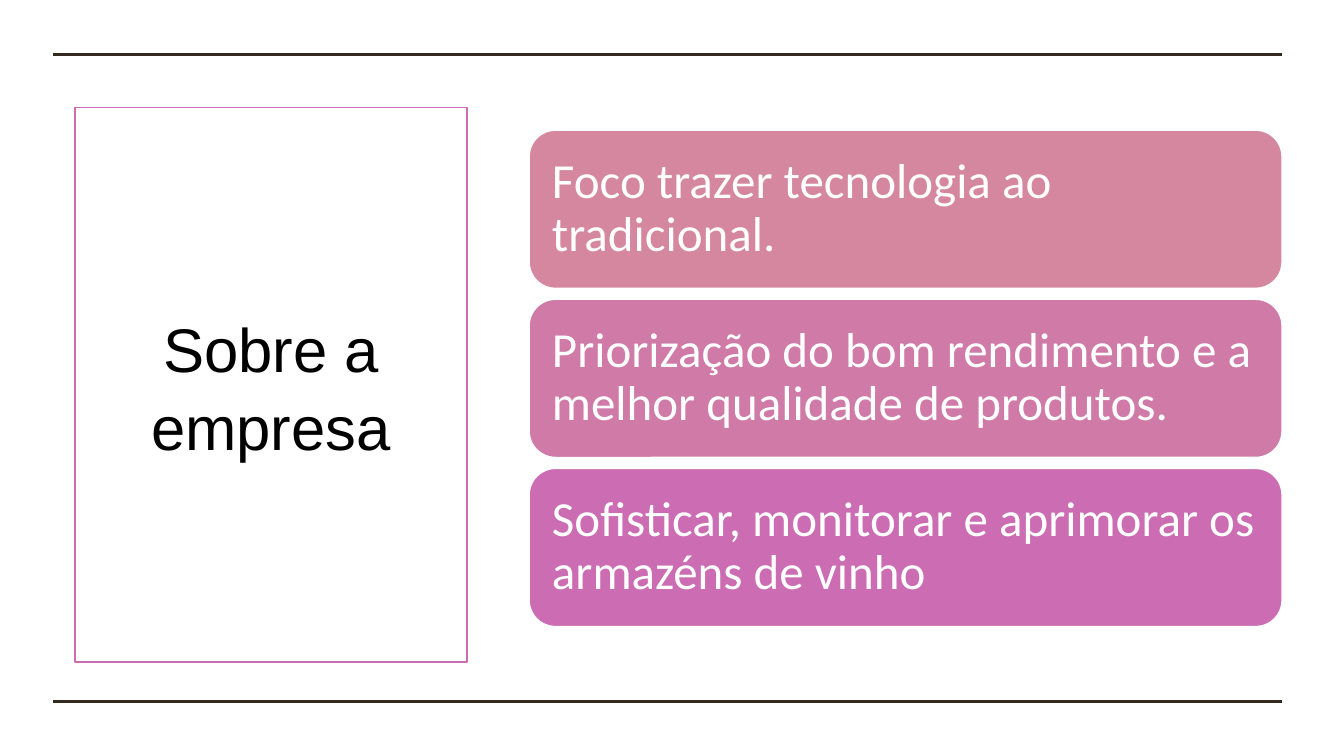
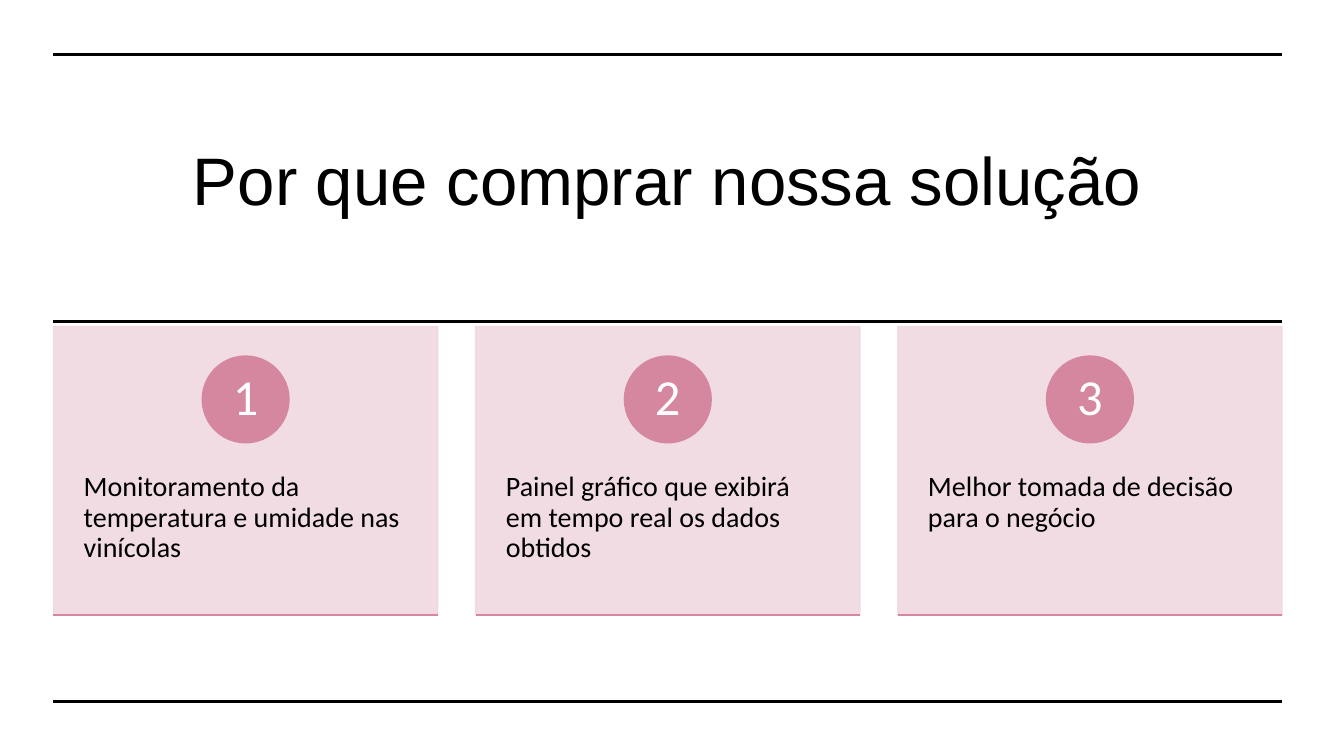
import pptx
import pptx.dml.color
import pptx.enum.shapes
import pptx.enum.text
import pptx.oxml
import pptx.oxml.ns
import pptx.util

Pt = pptx.util.Pt
SHAPE = pptx.enum.shapes.MSO_SHAPE
ALIGN = pptx.enum.text.PP_ALIGN
ANCHOR = pptx.enum.text.MSO_ANCHOR
NS = pptx.oxml.ns.nsdecls("a")

HEX = {
    "white": "FFFFFF", "black": "000000", "brown": "332A1D",
    "rose": "D587A0", "mauve": "D07AA8", "orchid": "CC6CB3", "blush": "EFD9DF",
}

ABOUT = "Sobre a empresa"
GOALS = [
    ("Foco trazer tecnologia ao tradicional.", "rose"),
    ("Priorização do bom rendimento e a melhor qualidade de produtos.", "mauve"),
    ("Sofisticar, monitorar e aprimorar os armazéns de vinho", "orchid"),
]
WHY = "Por que comprar nossa solução"
GAINS = [
    "Monitoramento da temperatura e umidade nas vinícolas",
    "Painel gráfico que exibirá em tempo real os dados obtidos",
    "Melhor tomada de decisão para o negócio",
]

WIDE, HIGH = 960, 540
LEFT, RIGHT = 38.2, 915.8
TOP, FOOT = 38.9, 501.1

STYLES = {
    "title": {"font": "Arial", "color": "black", "align": ALIGN.CENTER,
              "anchor": ANCHOR.MIDDLE, "inset": (7.2, 3.6)},
    "goal": {"font": "Calibri", "color": "white", "align": ALIGN.LEFT,
             "anchor": ANCHOR.MIDDLE, "inset": (10.8, 10.8)},
    "gain": {"font": "Calibri", "color": "black", "align": ALIGN.LEFT,
             "anchor": ANCHOR.TOP, "inset": (21.6, 104.4)},
    "badge": {"font": "Calibri", "color": "white", "align": ALIGN.CENTER,
              "anchor": ANCHOR.MIDDLE, "inset": (0, 0)},
}


def rgb(name):
    return pptx.dml.color.RGBColor.from_string(HEX[name])


def assign(item, values):
    for key, value in values.items():
        setattr(item, key, value)


def place(item, left, top, width, height):
    assign(item, {"left": Pt(left), "top": Pt(top),
                  "width": Pt(width), "height": Pt(height)})


def paint(shape, fill, line):
    shape.fill.solid()
    shape.fill.fore_color.rgb = rgb(fill)
    shape.line.color.rgb = rgb(line)
    shape.line.width = Pt(1)


def fade(shape, percent):
    """Make both fill and outline partly transparent."""
    for color in shape._element.spPr.iter(pptx.oxml.ns.qn("a:srgbClr")):
        color.append(pptx.oxml.parse_xml(f'<a:alpha {NS} val="{percent * 1000}"/>'))


def write(shape, text, style, size, space=0.9):
    look = STYLES[style]
    side, top = look["inset"]
    frame = shape.text_frame
    assign(frame, {
        "word_wrap": True, "auto_size": pptx.enum.text.MSO_AUTO_SIZE.NONE,
        "vertical_anchor": look["anchor"],
        "margin_left": Pt(side), "margin_right": Pt(side),
        "margin_top": Pt(top), "margin_bottom": Pt(min(top, side)),
    })
    frame.text = text
    para = frame.paragraphs[0]
    assign(para, {"alignment": look["align"], "line_spacing": space})
    assign(para.font, {"name": look["font"], "size": Pt(size)})
    para.font.color.rgb = rgb(look["color"])


def add_box(slide, kind, spot, fill, line):
    box = slide.shapes.add_shape(kind, *map(Pt, spot))
    box.shadow.inherit = False
    paint(box, fill, line)
    return box


def add_rule(slide, y, color, left=LEFT, right=RIGHT, weight=2.25):
    rule = slide.shapes.add_connector(
        pptx.enum.shapes.MSO_CONNECTOR.STRAIGHT, Pt(left), Pt(y), Pt(right), Pt(y))
    rule.line.color.rgb = rgb(color)
    rule.line.width = Pt(weight)
    rule._element.spPr.append(pptx.oxml.parse_xml(f"<a:effectLst {NS}/>"))


def add_slide(deck, title, spot, size, space, color, rules):
    slide = deck.slides.add_slide(deck.slide_layouts[5])
    place(slide.shapes.title, *spot)
    write(slide.shapes.title, title, "title", size, space)
    for y in rules:
        add_rule(slide, y, color)
    return slide


def add_about(deck):
    slide = add_slide(deck, ABOUT, (53.6, 77, 280, 396), 44, 1.05,
                      "brown", (TOP, FOOT))
    paint(slide.shapes.title, "white", "orchid")
    left, top, height, gap = 378, 93, 113, 7.8
    for row, (text, fill) in enumerate(GOALS):
        spot = (left, top + row * (height + gap), RIGHT - left, height)
        box = add_box(slide, SHAPE.ROUNDED_RECTANGLE, spot, fill, "white")
        write(box, text, "goal", 35)


def add_why(deck):
    slide = add_slide(deck, WHY, (36, 76.3, 881.3, 109.4), 48, 0.9,
                      "black", (TOP, 229.7, FOOT))
    top, height, gap, disc = 233.3, 205.9, 27, 62
    width = (RIGHT - LEFT - gap * (len(GAINS) - 1)) / len(GAINS)
    for col, text in enumerate(GAINS):
        left = LEFT + col * (width + gap)
        card = add_box(slide, SHAPE.RECTANGLE, (left, top, width, height),
                       "blush", "blush")
        fade(card, 90)
        write(card, text, "gain", 20)
        spot = (left + (width - disc) / 2, top + 21, disc, disc)
        badge = add_box(slide, SHAPE.OVAL, spot, "rose", "rose")
        write(badge, str(col + 1), "badge", 36)
        add_rule(slide, top + height, "rose", left, left + width, 1)


def main():
    deck = pptx.Presentation()
    assign(deck, {"slide_width": Pt(WIDE), "slide_height": Pt(HIGH)})
    add_about(deck)
    add_why(deck)
    deck.save("out.pptx")


if __name__ == "__main__":
    main()
